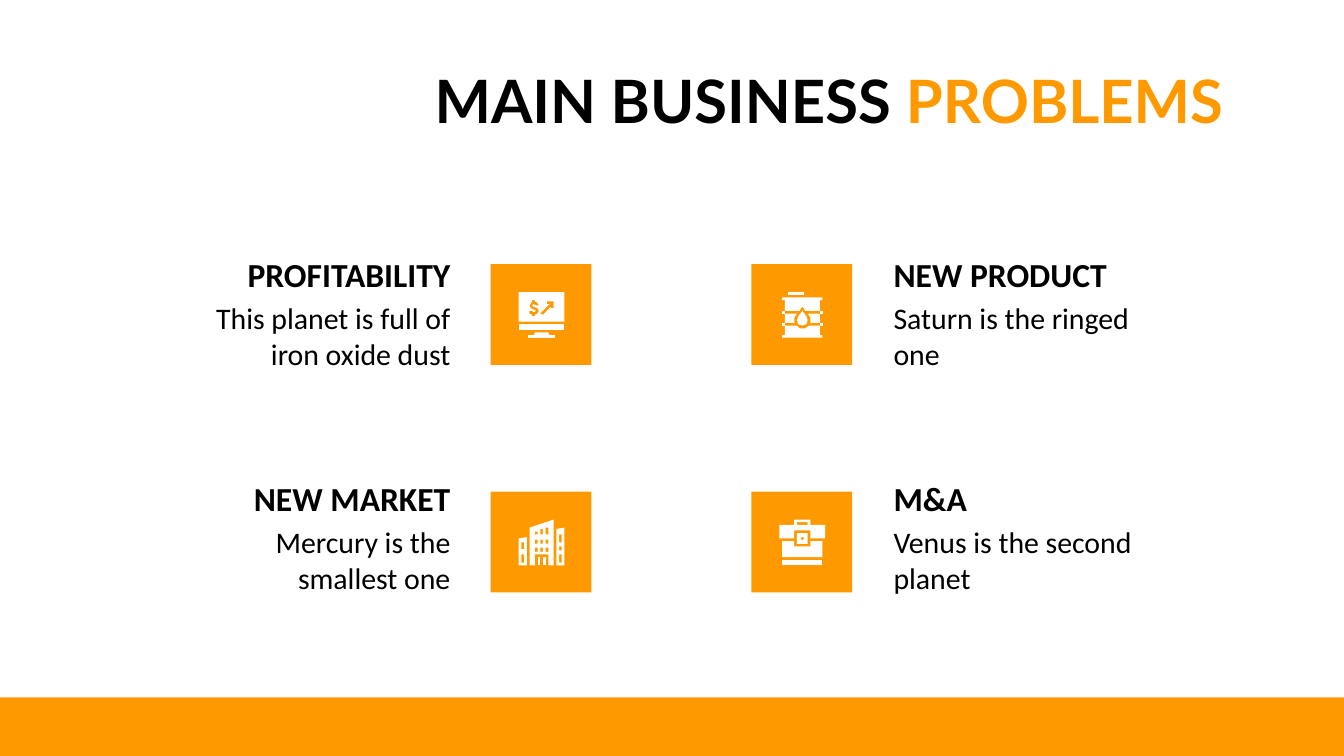
"""Build the slide on main business problems: four tiles with icons and captions."""
import pptx
import pptx.dml.color
import pptx.enum.shapes
import pptx.enum.text
import pptx.util

ALIGN = pptx.enum.text.PP_ALIGN
RECTANGLE = pptx.enum.shapes.MSO_SHAPE.RECTANGLE
ORANGE, BLACK, WHITE = map(pptx.dml.color.RGBColor.from_string, ("FF9900", "000000", "FFFFFF"))
THEME = {
    "title": {"name": "Lato", "size": pptx.util.Pt(32), "bold": True},
    "heading": {"name": "Calibri", "size": pptx.util.Pt(18), "bold": True},
    "body": {"name": "Calibri", "size": pptx.util.Pt(16), "bold": False},
    "paint": ORANGE,
    "ink": BLACK,
    "icon": WHITE,
}

MONITOR = [
    [(7, 32, 27, 34)],
    [
        [(26, 7), (26, 12), (24, 12), (24, 11), (18, 17), (16, 16), (23, 9), (21, 9), (21, 7)],
        [(12, 6), (12, 7), (14, 8), (15, 10), (13, 10), (11, 9), (10, 10), (11, 11),
         (14, 12), (15, 14), (14, 16), (12, 17), (12, 18), (10, 18), (10, 17), (8, 16),
         (8, 14), (10, 14), (11, 15), (13, 14), (11, 13), (9, 12), (8, 10), (10, 7), (10, 6)],
        (0, 0, 34, 22),
    ],
    [(0, 24, 34, 28)],
    [[(12, 30), (11, 33), (23, 33), (22, 30)]],
]
BARREL = [
    *[[(x, y, x + 2, y + 2)] for x in (2, 30) for y in (14, 23)],
    [(6, 0, 18, 2)],
    [[(17, 14), (14, 18), (13, 21), (14, 24), (17, 25), (20, 24), (21, 21), (20, 18)]],
    [[(21, 16), (23, 19), (23, 23), (30, 23), (30, 16)]],
    [[(13, 16), (11, 19), (11, 23), (4, 23), (4, 16)]],
    [[(4, 25), (4, 32), (2, 32), (2, 34), (32, 34), (32, 32), (30, 32), (30, 25),
      (22, 25), (19, 27), (15, 27), (13, 25)]],
    [[(2, 4), (2, 6), (4, 6), (4, 14), (15, 14), (16, 12), (17, 11), (18, 12),
      (19, 14), (30, 14), (30, 6), (32, 6), (32, 4)]],
]
CITY = [
    [(30, 11, 32, 17), (30, 20, 32, 23), (30, 26, 32, 32), [(34, 6), (28, 7), (28, 34), (34, 34)]],
    [(2, 17, 4, 22), (2, 26, 4, 32), [(6, 13), (0, 14), (0, 34), (6, 34)]],
    [(14, 28, 16, 34)],
    [(18, 28, 20, 34)],
    [
        (12, 9, 14, 11), (16, 7, 18, 11), (20, 6, 22, 11),
        *[(x, y, x + 2, y + 3) for x in (12, 16, 20) for y in (15, 21)],
        [(26, 0), (8, 6), (8, 34), (12, 34), (12, 26), (22, 26), (22, 34), (26, 34)],
    ],
]
BRIEFCASE = [
    [(13, 2, 21, 4),
     [(11, 0), (11, 4), (0, 4), (0, 14), (11, 14), (11, 8),
      (23, 8), (23, 14), (34, 14), (34, 4), (23, 4), (23, 0)]],
    [[(2, 16), (2, 28), (32, 28), (32, 16), (23, 16), (23, 20), (11, 20), (11, 16)]],
    [(2, 30, 32, 34)],
    [(16, 13, 18, 15), (13, 10, 21, 18)],
]
PROBLEMS = [
    ("PROFITABILITY", "This planet is full of iron oxide dust", MONITOR),
    ("NEW PRODUCT", "Saturn is the ringed one", BARREL),
    ("NEW MARKET", "Mercury is the smallest one", CITY),
    ("M&A", "Venus is the second planet", BRIEFCASE),
]
SIDES = [
    {"text": 13.3, "tile": 36.5, "align": ALIGN.RIGHT},
    {"text": 65.5, "tile": 55.9, "align": ALIGN.LEFT},
]

deck = pptx.Presentation()
deck.slide_width = pptx.util.Inches(10)
deck.slide_height = deck.slide_width * 9 // 16
page = deck.slides.add_slide(deck.slide_layouts[6])
COLUMN, ROW = deck.slide_width / 100, deck.slide_height / 100


def paint(shape, color):
    shape.shadow.inherit = False
    shape.fill.solid()
    shape.fill.fore_color.rgb = color
    shape.line.fill.background()


def write(left, top, width, height, align, style, spans):
    box = page.shapes.add_textbox(
        round(left * COLUMN), round(top * ROW), round(width * COLUMN), round(height * ROW))
    frame = box.text_frame
    frame.word_wrap = True
    for side in ("left", "top", "right", "bottom"):
        setattr(frame, f"margin_{side}", pptx.util.Inches(0.1))
    para = frame.paragraphs[0]
    para.alignment = align
    for text, color in spans:
        span = para.add_run()
        span.text = text
        for key, value in THEME[style].items():
            setattr(span.font, key, value)
        span.font.color.rgb = color
    return para


footer_top = round(92.27 * ROW)
footer = page.shapes.add_shape(
    RECTANGLE, 0, footer_top, deck.slide_width, deck.slide_height - footer_top)
paint(footer, THEME["paint"])

title = write(7.9, 8.53, 84.1, 11.2, ALIGN.RIGHT, "title",
              [("MAIN BUSINESS ", THEME["ink"]), ("PROBLEMS", THEME["paint"])])
title.line_spacing = 0.8

for index, (heading, body, icon) in enumerate(PROBLEMS):
    line, side = index // 2, SIDES[index % 2]
    text_top = 31.82 + line * 29.69
    tile_top = 34.93 + line * 30.1
    write(side["text"], text_top, 21.2, 9.07, side["align"], "heading", [(heading, THEME["ink"])])
    write(side["text"], text_top + 6.04, 21.2, 13.33, side["align"], "body", [(body, THEME["ink"])])

    tile_size = round(7.5 * COLUMN)
    tile = page.shapes.add_shape(
        RECTANGLE, round(side["tile"] * COLUMN), round(tile_top * ROW), tile_size, tile_size)
    paint(tile, THEME["paint"])

    group = page.shapes.add_group_shape()
    for piece in icon:
        outlines = []
        for outline in piece:
            if isinstance(outline, tuple):
                x1, y1, x2, y2 = outline
                outline = [(x1, y1), (x1, y2), (x2, y2), (x2, y1)]
            outlines.append(outline)
        builder = group.shapes.build_freeform(*outlines[0][0], scale=COLUMN / 10)
        for number, outline in enumerate(outlines):
            if number:
                builder.move_to(*outline[0])
            builder.add_line_segments(outline[1:], close=True)
        part = builder.convert_to_shape(
            round((side["tile"] + 2.1) * COLUMN), round((tile_top + 3.7) * ROW))
        paint(part, THEME["icon"])

deck.save("out.pptx")
